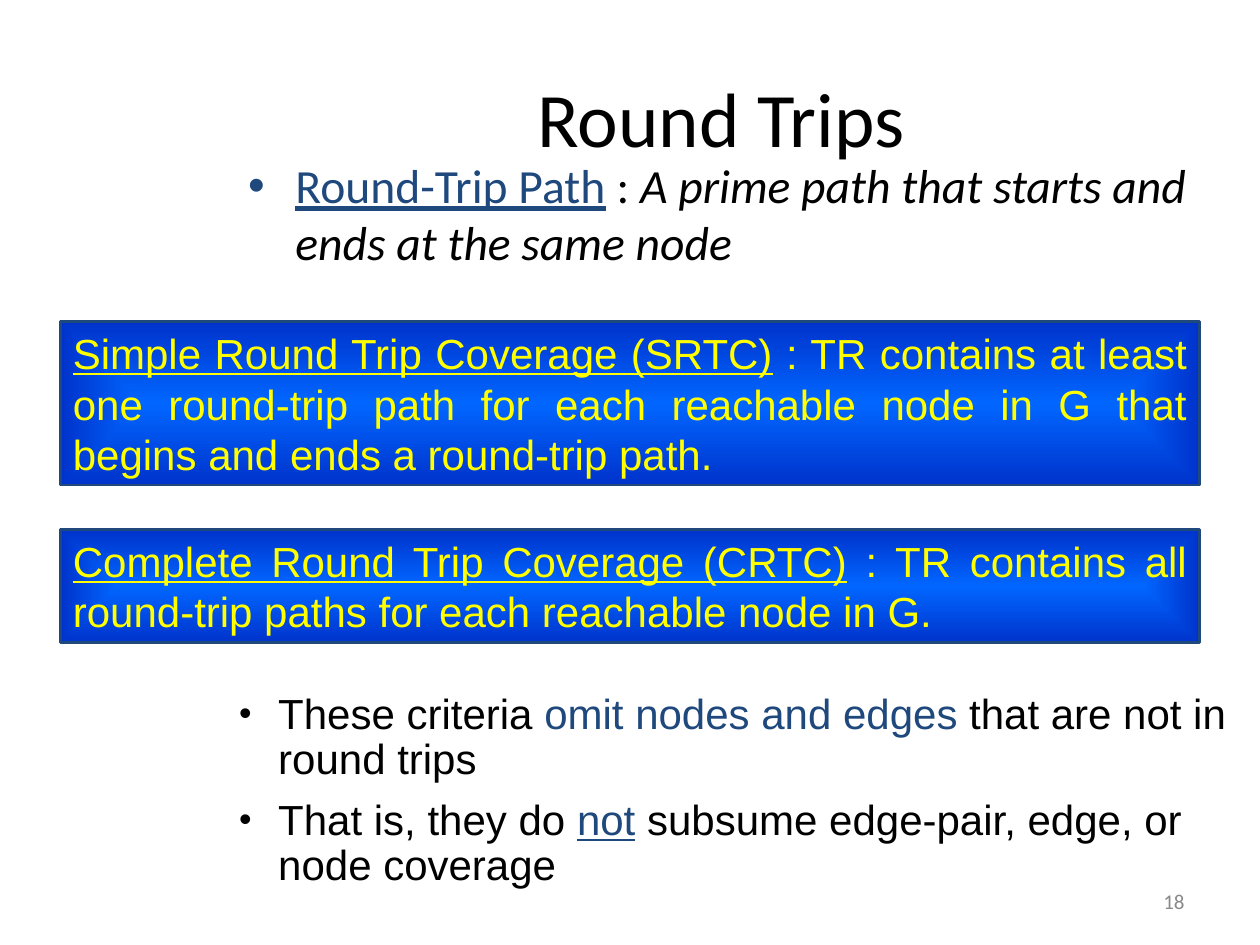
import pptx
import pptx.util
import pptx.dml.color
import pptx.enum.shapes
import pptx.enum.text
import pptx.oxml.ns
import lxml.etree

Cm = pptx.util.Cm
Pt = pptx.util.Pt
Align = pptx.enum.text.PP_ALIGN
Anchor = pptx.enum.text.MSO_ANCHOR
qn = pptx.oxml.ns.qn

THEME = {
    "heading_font": "Calibri", "text_font": "Arial",
    "black": "000000", "accent": "1F497D", "grey": "898989", "yellow": "FFFF00",
    "centre_blue": "0066FF", "edge_blue": "0033CC",
    "title_size": 44, "definition_size": 27.2, "text_size": 24, "number_size": 12,
}

TITLE = "Round Trips"
PAGE_NUMBER = "18"
DEFINITION = [[
    ("Round-Trip Path", {"color": "accent", "underline": True}),
    (" : ", {}),
    ("A prime path that starts and ends at the same node", {"italic": True}),
]]
CRITERIA = [
    (6.48, 3.3, "Simple Round Trip Coverage (SRTC)",
     " : TR contains at least one round-trip path for each reachable node in G "
     "that begins and ends a round-trip path."),
    (10.67, 2.29, "Complete Round Trip Coverage (CRTC)",
     " : TR contains all round-trip paths for each reachable node in G."),
]
REMARKS = [
    [("These criteria ", {}), ("omit nodes and edges", {"color": "accent"}),
     (" that are not in round trips", {})],
    [("That is, they do ", {}), ("not", {"color": "accent", "underline": True}),
     (" subsume edge-pair, edge, or node coverage", {})],
]


def rgb(name):
    return pptx.dml.color.RGBColor.from_string(THEME[name])


def place(shape, left, top, width, height):
    shape.left, shape.top, shape.width, shape.height = map(Cm, (left, top, width, height))


def add_bullet(para, color, indent, percent):
    properties = para._p.get_or_add_pPr()
    properties.set("marL", str(Cm(indent)))
    properties.set("indent", str(-Cm(indent)))
    holder = lxml.etree.SubElement(properties, qn("a:buClr"))
    lxml.etree.SubElement(holder, qn("a:srgbClr"), val=THEME[color])
    lxml.etree.SubElement(properties, qn("a:buSzPct"), val=str(percent * 1000))
    lxml.etree.SubElement(properties, qn("a:buFont"), typeface="Arial")
    lxml.etree.SubElement(properties, qn("a:buChar"), char="•")


def write(shape, paragraphs, font="text_font", size="text_size", color="black",
          align=Align.LEFT, anchor=Anchor.TOP, bullet=None, line_spacing=None, gap=0):
    frame = shape.text_frame
    frame.word_wrap = True
    frame.auto_size = pptx.enum.text.MSO_AUTO_SIZE.NONE
    frame.vertical_anchor = anchor
    for index, runs in enumerate(paragraphs):
        para = frame.add_paragraph() if index else frame.paragraphs[0]
        if bullet:
            add_bullet(para, **bullet)
        para.alignment = align
        para.space_before = Pt(gap if index else 0)
        if line_spacing:
            para.line_spacing = line_spacing
        for text, style in runs:
            span = para.add_run()
            span.text = text
            span.font.name = THEME[font]
            span.font.size = Pt(THEME[size])
            span.font.color.rgb = rgb(style.get("color", color))
            span.font.underline = style.get("underline", False)
            span.font.italic = style.get("italic", False)


def fill_from_centre(shape):
    shape.fill.gradient()
    for stop, color, position in zip(shape.fill.gradient_stops,
                                     ("centre_blue", "edge_blue"), (0, 1)):
        stop.color.rgb = rgb(color)
        stop.position = position
    gradient = shape._element.spPr.find(qn("a:gradFill"))
    gradient.remove(gradient.find(qn("a:lin")))
    shade = lxml.etree.Element(qn("a:path"), {"path": "rect"})
    lxml.etree.SubElement(shade, qn("a:fillToRect"), l="50000", t="50000", r="50000", b="50000")
    gradient.find(qn("a:gsLst")).addnext(shade)


def add_criterion(page, top, height, term, meaning):
    box = page.shapes.add_shape(pptx.enum.shapes.MSO_SHAPE.RECTANGLE,
                                Cm(1.22), Cm(top), Cm(22.96), Cm(height))
    box.shadow.inherit = False
    fill_from_centre(box)
    box.line.color.rgb = rgb("accent")
    box.line.width = Pt(1.5)
    write(box, [[(term, {"underline": True}), (meaning, {})]],
          color="yellow", align=Align.JUSTIFY)


def main():
    deck = pptx.Presentation()
    deck.slide_width, deck.slide_height = Cm(25.4), Cm(19.05)
    page = deck.slides.add_slide(deck.slide_layouts[1])

    title = page.shapes.title
    place(title, 4.95, 0.76, 19.18, 3.18)
    write(title, [[(TITLE, {})]], font="heading_font", size="title_size",
          align=Align.CENTER, anchor=Anchor.MIDDLE)

    body = page.placeholders[1]
    place(body, 4.75, 3.02, 20.24, 2.59)
    write(body, DEFINITION, font="heading_font", size="definition_size",
          bullet={"color": "accent", "indent": 0.95, "percent": 100})

    for criterion in CRITERIA:
        add_criterion(page, *criterion)

    remarks = page.shapes.add_textbox(Cm(4.57), Cm(13.84), Cm(20.45), Cm(2.59))
    write(remarks, REMARKS, line_spacing=0.9, gap=9,
          bullet={"color": "black", "indent": 0.79, "percent": 85})

    number = page.shapes.add_textbox(Cm(18.21), Cm(17.65), Cm(5.92), Cm(1.02))
    write(number, [[(PAGE_NUMBER, {})]], font="heading_font", size="number_size",
          color="grey", align=Align.RIGHT, anchor=Anchor.MIDDLE)

    deck.save("out.pptx")


if __name__ == "__main__":
    main()
